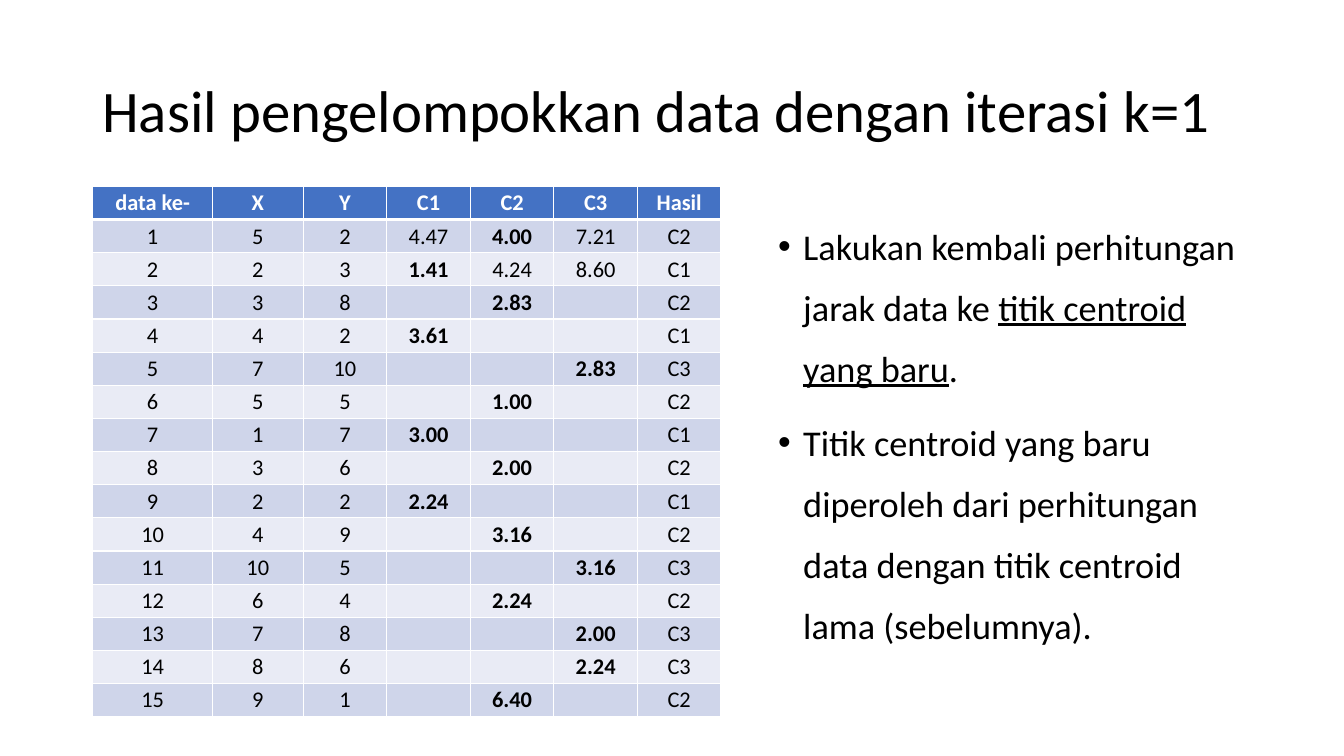
from dataclasses import dataclass
from typing import Any

from lxml.etree import SubElement
from pptx import Presentation
from pptx.dml.color import RGBColor
from pptx.enum.text import MSO_ANCHOR, PP_ALIGN
from pptx.oxml.ns import qn
from pptx.util import Pt

HUES = {"ink": "000000", "paper": "FFFFFF", "head": "4472C4",
        "odd": "CFD5EA", "even": "E9EBF5"}
FONT = "Calibri"
HEADS = ("data ke-", "X", "Y", "C1", "C2", "C3", "Hasil")
WIDTHS = (85.5, 64.8) + (59.7,) * 5
HEIGHT = 23.67
PAD = {"margin_left": Pt(4.5), "margin_right": Pt(4.5),
       "margin_top": Pt(2.2), "margin_bottom": Pt(2.2)}


@dataclass
class Point:
    x: int
    y: int
    group: str
    gaps: dict[str, str]


@dataclass
class Span:
    text: str
    line: bool = False


@dataclass
class Box:
    left: float
    top: float
    width: float
    height: float
    size: float
    lead: float
    gap: float
    anchor: Any
    mark: bool
    paras: list[list[Span]]


POINTS = [
    Point(5, 2, "C2", {"C1": "4.47", "C2": "4.00", "C3": "7.21"}),
    Point(2, 3, "C1", {"C1": "1.41", "C2": "4.24", "C3": "8.60"}),
    Point(3, 8, "C2", {"C2": "2.83"}),
    Point(4, 2, "C1", {"C1": "3.61"}),
    Point(7, 10, "C3", {"C3": "2.83"}),
    Point(5, 5, "C2", {"C2": "1.00"}),
    Point(1, 7, "C1", {"C1": "3.00"}),
    Point(3, 6, "C2", {"C2": "2.00"}),
    Point(2, 2, "C1", {"C1": "2.24"}),
    Point(4, 9, "C2", {"C2": "3.16"}),
    Point(10, 5, "C3", {"C3": "3.16"}),
    Point(6, 4, "C2", {"C2": "2.24"}),
    Point(7, 8, "C3", {"C3": "2.00"}),
    Point(8, 6, "C3", {"C3": "2.24"}),
    Point(9, 1, "C2", {"C2": "6.40"}),
]
BOXES = [
    Box(66, 28.8, 828, 104.4, 42, 0.9, 0, MSO_ANCHOR.MIDDLE, False,
        [[Span("Hasil pengelompokkan data dengan iterasi k=1")]]),
    Box(548.64, 144, 344.9, 342.7, 25.9, 1.4, 10, MSO_ANCHOR.TOP, True,
        [[Span("Lakukan kembali perhitungan jarak data ke "),
          Span("titik centroid yang baru", True), Span(".")],
         [Span("Titik centroid yang baru diperoleh dari perhitungan "
               "data dengan titik centroid lama (sebelumnya).")]]),
]


def apply(target: Any, form: dict[str, Any]) -> None:
    for name, value in form.items():
        setattr(target, name, value)


def write(para: Any, text: str, hue: str, form: dict[str, Any]) -> None:
    run = para.add_run()
    run.text = text
    apply(run.font, {"name": FONT, **form})
    run.font.color.rgb = RGBColor.from_string(HUES[hue])


def bullet(para: Any) -> None:
    props = para._p.get_or_add_pPr()
    props.set("marL", str(Pt(18)))
    props.set("indent", str(-Pt(18)))
    SubElement(props, qn("a:buFont"), typeface="Arial")
    SubElement(props, qn("a:buChar"), char="•")


def draw(slide: Any, box: Box) -> None:
    shape = slide.shapes.add_textbox(
        Pt(box.left), Pt(box.top), Pt(box.width), Pt(box.height))
    frame = shape.text_frame
    apply(frame, {"word_wrap": True, "vertical_anchor": box.anchor})
    for index, spans in enumerate(box.paras):
        para = frame.add_paragraph() if index else frame.paragraphs[0]
        apply(para, {"line_spacing": box.lead, "space_before": Pt(box.gap)})
        if box.mark:
            bullet(para)
        for span in spans:
            write(para, span.text, "ink",
                  {"size": Pt(box.size), "underline": span.line})


def border(cell: Any, sides: dict[str, float]) -> None:
    props = cell._tc.get_or_add_tcPr()
    for side, width in sides.items():
        line = SubElement(props, qn(f"a:ln{side}"), w=str(Pt(width)))
        fill = SubElement(line, qn("a:solidFill"))
        SubElement(fill, qn("a:srgbClr"), val=HUES["paper"])


def put(cell: Any, text: str, row: int, bold: bool) -> None:
    border(cell, {"L": 1, "R": 1, "T": 3 if row == 1 else 1,
                  "B": 1 if row else 3})
    apply(cell, PAD)
    cell.fill.solid()
    tone = ("even" if row % 2 == 0 else "odd") if row else "head"
    cell.fill.fore_color.rgb = RGBColor.from_string(HUES[tone])
    para = cell.text_frame.paragraphs[0]
    para.alignment = PP_ALIGN.CENTER
    if text:
        write(para, text, "ink" if row else "paper",
              {"size": Pt(16), "bold": bold})
    else:
        SubElement(para._p, qn("a:endParaRPr"), sz="1600")


def grid(slide: Any) -> None:
    count = len(POINTS) + 1
    table = slide.shapes.add_table(
        count, len(HEADS), Pt(66.24), Pt(133.2),
        Pt(sum(WIDTHS)), Pt(HEIGHT * count)).table
    for column, width in zip(table.columns, WIDTHS):
        column.width = Pt(width)
    for line in table.rows:
        line.height = Pt(HEIGHT)
    for col, head in enumerate(HEADS):
        put(table.cell(0, col), head, 0, True)
    for row, point in enumerate(POINTS, 1):
        values = {"data ke-": str(row), "X": str(point.x),
                  "Y": str(point.y), "Hasil": point.group, **point.gaps}
        for col, head in enumerate(HEADS):
            put(table.cell(row, col), values.get(head, ""), row,
                head == point.group)


def main() -> None:
    deck = Presentation()
    apply(deck, {"slide_width": Pt(960), "slide_height": Pt(540)})
    slide = deck.slides.add_slide(deck.slide_layouts[6])
    for box in BOXES:
        draw(slide, box)
    grid(slide)
    deck.save("out.pptx")


if __name__ == "__main__":
    main()
